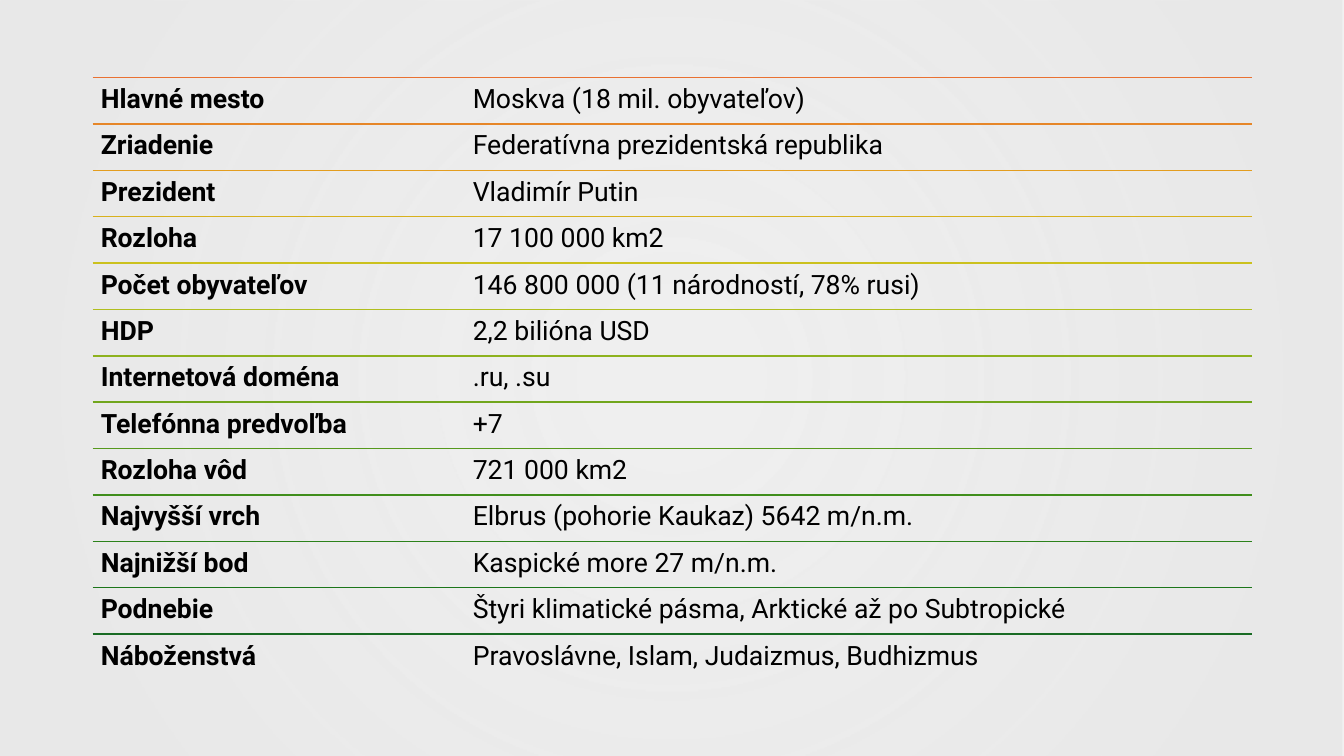
"""Builds a slide listing basic facts about Russia in ruled rows."""
from dataclasses import dataclass
from typing import Any

from pptx import Presentation
from pptx.dml.color import RGBColor
from pptx.enum.shapes import MSO_CONNECTOR as Connector, MSO_SHAPE as Preset
from pptx.enum.text import MSO_ANCHOR as Anchor
from pptx.oxml import parse_xml
from pptx.oxml.ns import nsdecls
from pptx.slide import Slide
from pptx.util import Inches, Pt

WIDTH, HEIGHT = 13.33, 7.5
LEFT, TOP, ROW_WIDTH, ROW_HEIGHT = 0.92, 0.77, 11.5, 0.46
VALUE_TAB = 3.69
INSET = Inches(0.08)


@dataclass
class Fact:
    label: str
    value: str
    rule: str


FACTS = [
    Fact("Hlavné mesto", "Moskva (18 mil. obyvateľov)", "E97132"),
    Fact("Zriadenie", "Federatívna prezidentská republika", "E68628"),
    Fact("Prezident", "Vladimír Putin", "E39D1F"),
    Fact("Rozloha", "17 100 000 km2", "D8B11D"),
    Fact("Počet obyvateľov", "146 800 000 (11 národností, 78% rusi)", "CBC11E"),
    Fact("HDP", "2,2 bilióna USD", "B0BE1E"),
    Fact("Internetová doména", ".ru, .su", "8EB21E"),
    Fact("Telefónna predvoľba", "+7", "71A61D"),
    Fact("Rozloha vôd", "721 000 km2", "56991D"),
    Fact("Najvyšší vrch", "Elbrus (pohorie Kaukaz) 5642 m/n.m.", "408E1C"),
    Fact("Najnižší bod", "Kaspické more 27 m/n.m.", "2C821B"),
    Fact("Podnebie", "Štyri klimatické pásma, Arktické až po Subtropické", "1C761A"),
    Fact("Náboženstvá", "Pravoslávne, Islam, Judaizmus, Budhizmus", "196B24"),
]

FRAME_FORMAT = {
    "word_wrap": True,
    "vertical_anchor": Anchor.TOP,
    "margin_left": INSET,
    "margin_top": INSET,
    "margin_right": INSET,
    "margin_bottom": INSET,
}
FONT_FORMAT = {"name": "Roboto", "size": Pt(19)}


def color(value: str) -> RGBColor:
    return RGBColor.from_string(value)


def apply_format(target: Any, values: dict[str, Any]) -> None:
    for name, value in values.items():
        setattr(target, name, value)


def add_backdrop(page: Slide) -> None:
    backdrop = page.shapes.add_shape(Preset.RECTANGLE, 0, 0, Inches(WIDTH), Inches(HEIGHT))
    backdrop.shadow.inherit = False
    backdrop.line.fill.background()
    stops = "".join(
        f'<a:gs pos="{place * 1000}"><a:srgbClr val="E8E8E8">'
        f'<a:alpha val="{alpha * 1000}"/></a:srgbClr></a:gs>'
        for place, alpha in ((10, 68), (85, 97))
    )
    gradient = parse_xml(
        f'<a:gradFill {nsdecls("a")} rotWithShape="1"><a:gsLst>{stops}</a:gsLst>'
        '<a:path path="circle"><a:fillToRect l="50000" t="50000" r="50000" b="50000"/>'
        "</a:path></a:gradFill>"
    )
    backdrop._element.spPr.prstGeom.addnext(gradient)


def add_rule(page: Slide, top: float, rule: str) -> None:
    line = page.shapes.add_connector(
        Connector.STRAIGHT, Inches(LEFT), Inches(top), Inches(LEFT + ROW_WIDTH), Inches(top)
    )
    line.line.color.rgb = color(rule)
    line.line.width = Pt(1)
    line._element.spPr.append(parse_xml(f'<a:effectLst {nsdecls("a")}/>'))


def add_fact(page: Slide, top: float, fact: Fact) -> None:
    box = page.shapes.add_textbox(
        Inches(LEFT), Inches(top), Inches(ROW_WIDTH), Inches(ROW_HEIGHT)
    )
    apply_format(box.text_frame, FRAME_FORMAT)
    para = box.text_frame.paragraphs[0]
    para._p.get_or_add_pPr().append(parse_xml(
        f'<a:tabLst {nsdecls("a")}><a:tab pos="{Inches(VALUE_TAB)}" algn="l"/></a:tabLst>'
    ))
    para.line_spacing = 0.9
    for text, bold in ((fact.label, True), (f"\t{fact.value}", False)):
        span = para.add_run()
        span.text = text
        apply_format(span.font, FONT_FORMAT | {"bold": bold})
        span.font.color.rgb = color("000000")


def main() -> None:
    deck = Presentation()
    deck.slide_width, deck.slide_height = Inches(WIDTH), Inches(HEIGHT)
    page = deck.slides.add_slide(deck.slide_layouts[6])
    add_backdrop(page)
    for index, fact in enumerate(FACTS):
        top = TOP + index * ROW_HEIGHT
        add_rule(page, top, fact.rule)
        add_fact(page, top, fact)
    deck.save("out.pptx")


if __name__ == "__main__":
    main()
